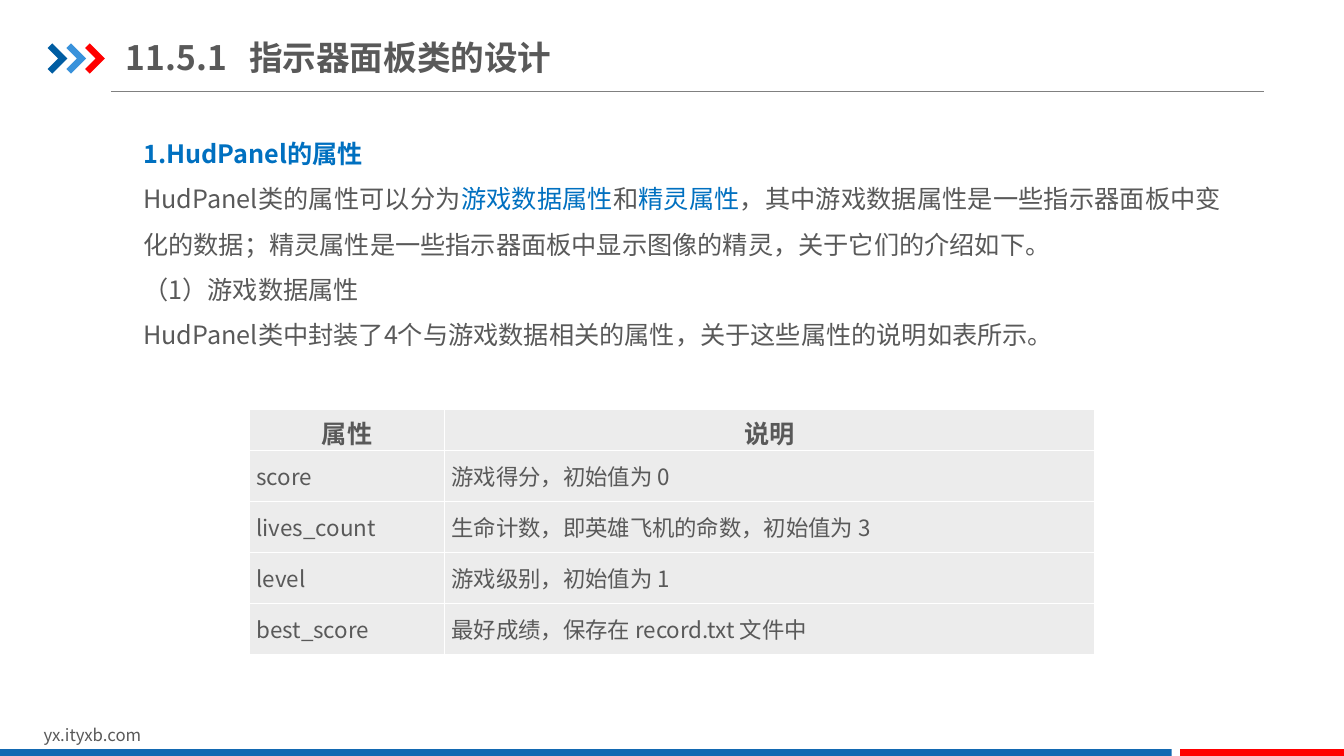
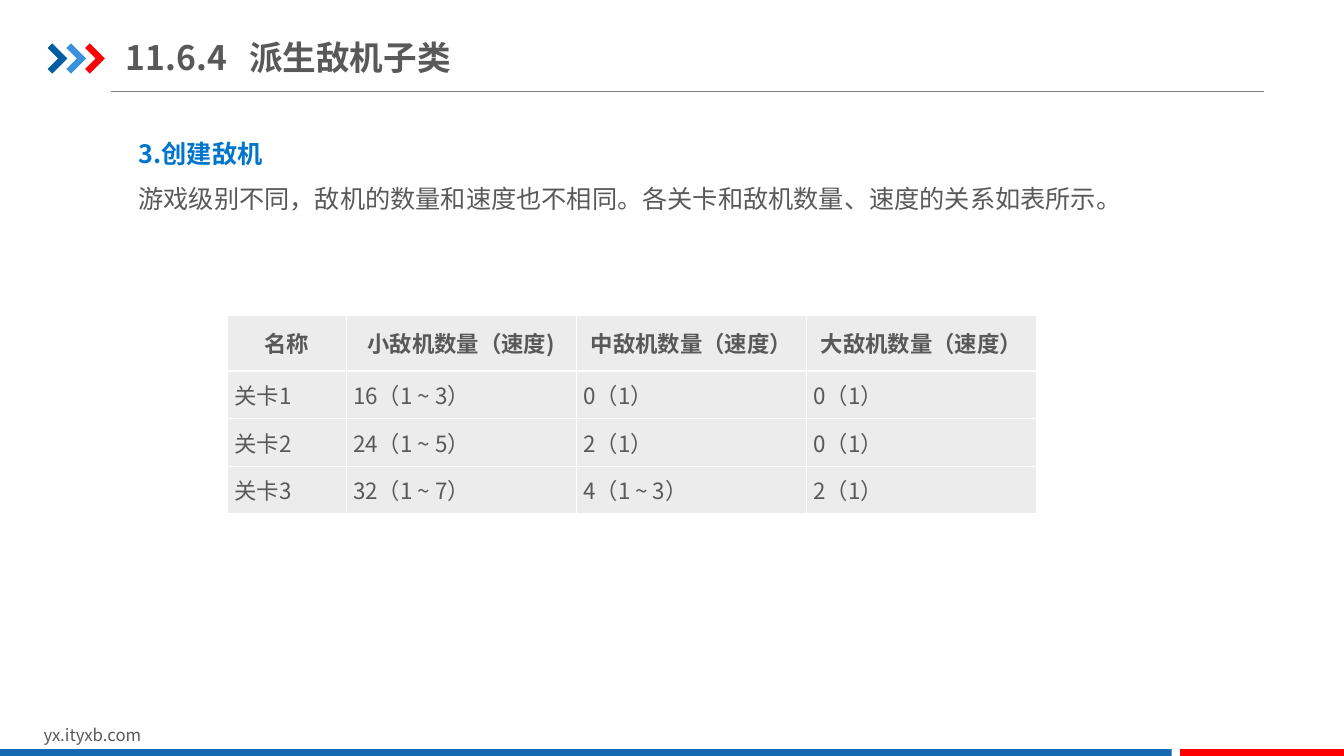
from dataclasses import dataclass
from typing import NamedTuple

from lxml.etree import SubElement
from pptx import Presentation
from pptx.dml.color import RGBColor
from pptx.enum.shapes import MSO_CONNECTOR, MSO_SHAPE
from pptx.enum.text import MSO_ANCHOR, MSO_AUTO_SIZE, PP_ALIGN
from pptx.oxml.ns import qn
from pptx.slide import Slide
from pptx.text.text import TextFrame
from pptx.util import Pt


@dataclass(frozen=True)
class Theme:
    font: str = "Noto Sans CJK SC"
    text: str = "595959"
    rule: str = "808080"
    cell: str = "ECECEC"
    border: str = "FFFFFF"
    band_blue: str = "1369B2"
    red: str = "FF0000"
    chevrons: tuple[str, ...] = ("005DA2", "3992DB", "FF0000")
    title_size: float = 24
    body_size: float = 18
    cell_size: float = 16
    footer_size: float = 12


THEME = Theme()
SLIDE_WIDTH, SLIDE_HEIGHT = 960, 540
CHEVRON = ((0, 3.3), (3.3, 0), (14.1, 10.8), (3.3, 21.6), (0, 18.3), (7.6, 10.8))
CHEVRON_LEFT, CHEVRON_TOP, CHEVRON_STEP = 34, 31, 13.4


class Box(NamedTuple):
    left: float
    top: float
    width: float
    height: float

    def emu(self) -> tuple[Pt, ...]:
        return tuple(Pt(length) for length in self)


class Insets(NamedTuple):
    horizontal: float
    vertical: float


class Span(NamedTuple):
    text: str
    accent: bool = False


class Grid(NamedTuple):
    left: float
    top: float
    columns: tuple[float, ...]
    header_height: float
    row_height: float
    header_size: float
    rows: tuple[tuple[str, ...], ...]


class Lesson(NamedTuple):
    number: str
    title: str
    accent: str
    body_box: Box
    heading: str
    paragraphs: tuple[tuple[Span, ...], ...]
    grid: Grid


LESSONS = (
    Lesson(
        "11.5.1", "指示器面板类的设计", "0070C0", Box(93, 83, 789, 187),
        "1.HudPanel的属性",
        (
            (
                Span("HudPanel类的属性可以分为"),
                Span("游戏数据属性", True),
                Span("和"),
                Span("精灵属性", True),
                Span("，其中游戏数据属性是一些指示器面板中变化的数据；"
                     "精灵属性是一些指示器面板中显示图像的精灵，关于它们的介绍如下。"),
            ),
            (Span("（1）游戏数据属性"),),
            (Span("HudPanel类中封装了4个与游戏数据相关的属性，关于这些属性的说明如表所示。"),),
        ),
        Grid(178.2, 292.5, (139.3, 464.2), 29.2, 36.5, THEME.body_size, (
            ("属性", "说明"),
            ("score", "游戏得分，初始值为 0"),
            ("lives_count", "生命计数，即英雄飞机的命数，初始值为 3"),
            ("level", "游戏级别，初始值为 1"),
            ("best_score", "最好成绩，保存在 record.txt 文件中"),
        )),
    ),
    Lesson(
        "11.6.4", "派生敌机子类", "0075CC", Box(89.6, 83, 787, 73.5),
        "3.创建敌机",
        (
            (Span("游戏级别不同，敌机的数量和速度也不相同。"
                  "各关卡和敌机数量、速度的关系如表所示。"),),
        ),
        Grid(162.5, 225, (84.8, 164.4, 164.4, 164.4), 40, 34, THEME.cell_size, (
            ("名称", "小敌机数量（速度)", "中敌机数量（速度）", "大敌机数量（速度）"),
            ("关卡1", "16（1 ~ 3）", "0（1）", "0（1）"),
            ("关卡2", "24（1 ~ 5）", "2（1）", "0（1）"),
            ("关卡3", "32（1 ~ 7）", "4（1 ~ 3）", "2（1）"),
        )),
    ),
)


def rgb(value: str) -> RGBColor:
    return RGBColor.from_string(value)


def style_paragraph(paragraph, size: float, color: str = THEME.text, bold: bool = False) -> None:
    font = paragraph.font
    font.size, font.bold, font.name = Pt(size), bold, THEME.font
    font.color.rgb = rgb(color)
    east_asian = SubElement(paragraph._p.pPr.find(qn("a:defRPr")), qn("a:ea"))
    east_asian.set("typeface", THEME.font)


def add_text_frame(slide: Slide, box: Box, insets: Insets) -> TextFrame:
    frame = slide.shapes.add_textbox(*box.emu()).text_frame
    frame.word_wrap = True
    frame.margin_left = frame.margin_right = Pt(insets.horizontal)
    frame.margin_top = frame.margin_bottom = Pt(insets.vertical)
    return frame


def paint(shape, color: str) -> None:
    shape.shadow.inherit = False
    shape.fill.solid()
    shape.fill.fore_color.rgb = rgb(color)
    shape.line.fill.background()


def add_band(slide: Slide, box: Box, color: str) -> None:
    paint(slide.shapes.add_shape(MSO_SHAPE.RECTANGLE, *box.emu()), color)


def add_chevron(slide: Slide, left: float, color: str) -> None:
    corners = [(Pt(left + x), Pt(CHEVRON_TOP + y)) for x, y in CHEVRON]
    outline = slide.shapes.build_freeform(*corners[0])
    outline.add_line_segments(corners[1:], close=True)
    paint(outline.convert_to_shape(), color)


def add_frame(slide: Slide) -> None:
    """Draw the title rule, chevrons, web address and bottom bands."""
    rule = slide.shapes.add_connector(
        MSO_CONNECTOR.STRAIGHT, Pt(79.2), Pt(65.5), Pt(903), Pt(65.5))
    rule.line.color.rgb = rgb(THEME.rule)
    rule.line.width = Pt(0.75)
    SubElement(rule._element.spPr, qn("a:effectLst"))

    for index, color in enumerate(THEME.chevrons):
        add_chevron(slide, CHEVRON_LEFT + index * CHEVRON_STEP, color)

    address = add_text_frame(slide, Box(24, 514, 229, 21.8), Insets(7.2, 3.6))
    address.auto_size = MSO_AUTO_SIZE.SHAPE_TO_FIT_TEXT
    address.text = "yx.ityxb.com"
    style_paragraph(address.paragraphs[0], THEME.footer_size)

    add_band(slide, Box(0, 535, 837, 6.5), THEME.band_blue)
    add_band(slide, Box(843, 535, 117, 6.5), THEME.red)


def add_title(slide: Slide, number: str, title: str) -> None:
    frame = add_text_frame(slide, Box(90, 21, 361.5, 39.6), Insets(0, 5))
    frame.vertical_anchor = MSO_ANCHOR.MIDDLE
    paragraph = frame.paragraphs[0]
    paragraph.add_run().text = f"{number}\t{title}"
    tabs = SubElement(paragraph._p.get_or_add_pPr(), qn("a:tabLst"))
    SubElement(tabs, qn("a:tab"), pos=str(Pt(88)), algn="l")
    style_paragraph(paragraph, THEME.title_size, bold=True)


def add_body(slide: Slide, lesson: Lesson) -> None:
    frame = add_text_frame(slide, lesson.body_box, Insets(9.4, 5))
    heading = frame.paragraphs[0]
    heading.text = lesson.heading
    style_paragraph(heading, THEME.body_size, lesson.accent, bold=True)
    for spans in lesson.paragraphs:
        paragraph = frame.add_paragraph()
        style_paragraph(paragraph, THEME.body_size)
        for span in spans:
            run = paragraph.add_run()
            run.text = span.text
            if span.accent:
                run.font.color.rgb = rgb(lesson.accent)
    for paragraph in frame.paragraphs:
        paragraph.alignment = PP_ALIGN.JUSTIFY
        paragraph.line_spacing = 1.5


def add_cell_borders(cell) -> None:
    properties = cell._tc.get_or_add_tcPr()
    for side in ("lnL", "lnR", "lnT", "lnB"):
        border = SubElement(properties, qn(f"a:{side}"), w=str(Pt(1)))
        fill = SubElement(border, qn("a:solidFill"))
        SubElement(fill, qn("a:srgbClr"), val=THEME.border)


def fill_cell(cell, text: str, is_header: bool, size: float) -> None:
    add_cell_borders(cell)
    cell.fill.solid()
    cell.fill.fore_color.rgb = rgb(THEME.cell)
    cell.vertical_anchor = MSO_ANCHOR.MIDDLE
    if not is_header:
        cell.margin_left = cell.margin_right = Pt(5)
        cell.margin_top = cell.margin_bottom = 0
    cell.text = text
    paragraph = cell.text_frame.paragraphs[0]
    paragraph.alignment = PP_ALIGN.CENTER if is_header else PP_ALIGN.LEFT
    style_paragraph(paragraph, size, bold=is_header)


def add_grid(slide: Slide, grid: Grid) -> None:
    heights = [grid.header_height] + [grid.row_height] * (len(grid.rows) - 1)
    box = Box(grid.left, grid.top, sum(grid.columns), sum(heights))
    table = slide.shapes.add_table(len(heights), len(grid.columns), *box.emu()).table
    table.horz_banding = False
    for column, width in zip(table.columns, grid.columns):
        column.width = Pt(width)
    for row_index, (row, height, texts) in enumerate(zip(table.rows, heights, grid.rows)):
        row.height = Pt(height)
        is_header = row_index == 0
        size = grid.header_size if is_header else THEME.cell_size
        for cell, text in zip(row.cells, texts):
            fill_cell(cell, text, is_header, size)


def main() -> None:
    presentation = Presentation()
    presentation.slide_width = Pt(SLIDE_WIDTH)
    presentation.slide_height = Pt(SLIDE_HEIGHT)
    blank = presentation.slide_layouts[6]
    for lesson in LESSONS:
        slide = presentation.slides.add_slide(blank)
        add_frame(slide)
        add_body(slide, lesson)
        add_title(slide, lesson.number, lesson.title)
        add_grid(slide, lesson.grid)
    presentation.save("out.pptx")


if __name__ == "__main__":
    main()
